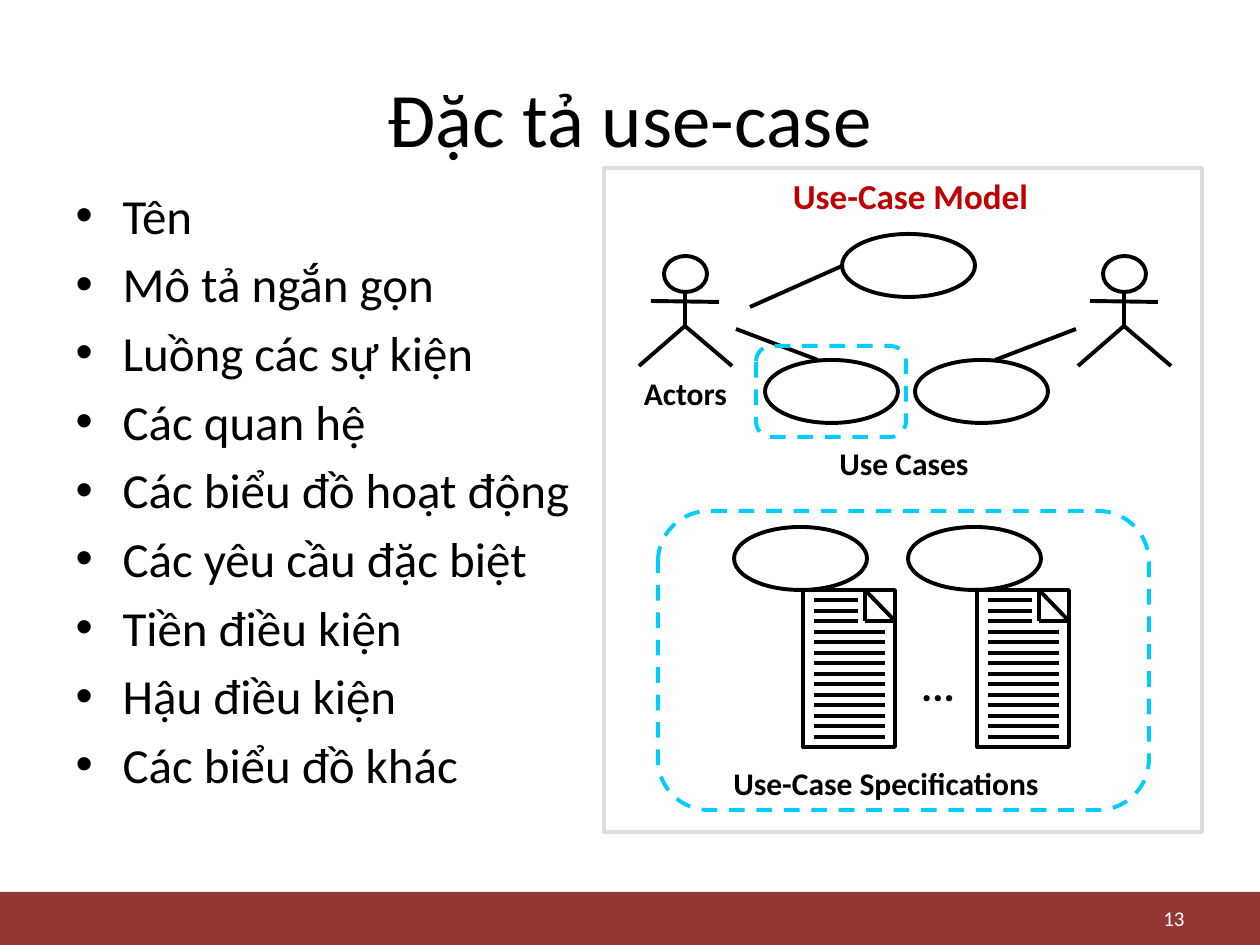
from lxml import etree
from pptx import Presentation
from pptx.dml.color import RGBColor
from pptx.enum.dml import MSO_LINE
from pptx.enum.shapes import MSO_CONNECTOR, MSO_SHAPE
from pptx.enum.text import MSO_ANCHOR, MSO_AUTO_SIZE, PP_ALIGN
from pptx.oxml.ns import qn
from pptx.util import Emu, Pt

RECT, OVAL, ROUNDED = MSO_SHAPE.RECTANGLE, MSO_SHAPE.OVAL, MSO_SHAPE.ROUNDED_RECTANGLE
STRAIGHT, DASH = MSO_CONNECTOR.STRAIGHT, MSO_LINE.DASH
LEFT, CENTER, RIGHT = PP_ALIGN.LEFT, PP_ALIGN.CENTER, PP_ALIGN.RIGHT
TOP, MIDDLE = MSO_ANCHOR.TOP, MSO_ANCHOR.MIDDLE

FONT = "Calibri"
BLACK, WHITE, RED = "000000", "FFFFFF", "C00000"
MAROON, GREY, CYAN = "953735", "DDDDDD", "00CCFF"
USE_CASE_SIZE = (133, 63)

CONTENTS = [
    "Tên", "Mô tả ngắn gọn", "Luồng các sự kiện", "Các quan hệ",
    "Các biểu đồ hoạt động", "Các yêu cầu đặc biệt", "Tiền điều kiện",
    "Hậu điều kiện", "Các biểu đồ khác",
]


def px(n):
    """Pixels at 126 to the inch, in EMU."""
    return Emu(round(n * 914400 / 126))


def color(hex_value):
    return RGBColor.from_string(hex_value)


def place(shape, left, top, width, height):
    shape.left, shape.top = px(left), px(top)
    shape.width, shape.height = px(width), px(height)


def write(paragraph, words, size, text_color=BLACK, bold=False, align=LEFT):
    paragraph.alignment = align
    run = paragraph.add_run()
    run.text = words
    font = run.font
    font.name, font.size, font.bold = FONT, Pt(size), bold
    font.color.rgb = color(text_color)


def stroke(shape, line_color=BLACK):
    shape.line.color.rgb = color(line_color)
    shape.line.width = Pt(2.25)


def add_outline(shapes, kind, box, line_color=BLACK):
    outline = shapes.add_shape(kind, *map(px, box))
    outline.shadow.inherit = False
    outline.fill.background()
    stroke(outline, line_color)
    return outline


def add_line(shapes, x1, y1, x2, y2):
    line = shapes.add_connector(STRAIGHT, px(x1), px(y1), px(x2), px(y2))
    stroke(line)
    etree.SubElement(line._element.spPr, qn("a:effectLst"))


def add_label(shapes, words, box, size, text_color=BLACK, bold=True,
              align=CENTER, anchor=TOP, wrap=True):
    label = shapes.add_textbox(*map(px, box))
    frame = label.text_frame
    frame.word_wrap = wrap
    frame.vertical_anchor = anchor
    write(frame.paragraphs[0], words, size, text_color, bold, align)


def add_use_case(shapes, left, top):
    add_outline(shapes, OVAL, (left, top, *USE_CASE_SIZE))


def add_dashed_frame(shapes, box):
    frame = add_outline(shapes, ROUNDED, box, CYAN)
    frame.adjustments[0] = 0.17
    frame.line.dash_style = DASH


def add_actor(slide, left):
    """Stick figure whose left foot is at the given x."""
    figure = slide.shapes.add_group_shape().shapes
    spine = left + 46
    add_outline(figure, OVAL, (left + 25, 256, 43, 36))
    add_line(figure, spine, 292, spine, 326)
    add_line(figure, left + 12, 301, left + 80, 302)
    legs = figure.build_freeform(px(left), px(366))
    legs.add_line_segments([(px(spine), px(326)), (px(left + 93), px(366))], close=False)
    legs_shape = legs.convert_to_shape()
    legs_shape.shadow.inherit = False
    legs_shape.fill.background()
    stroke(legs_shape)


def add_specification(slide, left):
    """Use case with its written page below."""
    parts = slide.shapes.add_group_shape().shapes
    page_left, page_top = left + 69, 590
    page_right, fold_left, fold_bottom = page_left + 92, page_left + 62, page_top + 31
    add_use_case(parts, left, 527)
    add_outline(parts, RECT, (page_left, page_top, 92, 157))

    # Folded corner
    add_line(parts, fold_left, page_top, page_right, fold_bottom)
    add_line(parts, fold_left, page_top, fold_left, fold_bottom)
    add_line(parts, page_right, fold_bottom, fold_left, fold_bottom)

    # Lines of writing, the first three stopping short of the fold
    for row in range(14):
        y = page_top + 10 + round(row * 10.54)
        length = 44 if row < 3 else 71
        add_line(parts, page_left + 11, y, page_left + 11 + length, y)


def fill_title(slide):
    title = slide.shapes.title
    place(title, 63, 38, 1134, 158)
    title.text_frame.vertical_anchor = MIDDLE
    write(title.text_frame.paragraphs[0], "Đặc tả use-case", 44, align=CENTER)


def fill_contents(slide):
    body = slide.placeholders[1]
    place(body, 63, 179, 528, 695)
    frame = body.text_frame
    frame.auto_size = MSO_AUTO_SIZE.NONE
    frame.vertical_anchor = TOP
    for index, item in enumerate(CONTENTS):
        paragraph = frame.paragraphs[0] if index == 0 else frame.add_paragraph()
        properties = paragraph._p.get_or_add_pPr()
        properties.set("marL", str(px(47)))
        properties.set("indent", str(-px(47)))
        bullet_font = etree.SubElement(properties, qn("a:buFont"))
        bullet_font.set("typeface", "Arial")
        etree.SubElement(properties, qn("a:buChar")).set("char", "•")
        paragraph.space_before = Pt(5.6 if index else 0)
        write(paragraph, item, 28)


def add_footer(slide):
    band = slide.shapes.add_shape(RECT, *map(px, (0, 892, 1260, 53)))
    band.shadow.inherit = False
    band.fill.solid()
    band.fill.fore_color.rgb = color(MAROON)
    band.line.fill.background()
    add_label(slide.shapes, "13", (903, 901, 294, 34), 12, WHITE,
              bold=False, align=RIGHT, anchor=MIDDLE)


def add_model(slide):
    shapes = slide.shapes
    add_outline(shapes, RECT, (604, 168, 598, 664), GREY)
    add_label(shapes, "Use-Case Model", (725, 168, 371, 54), 20, RED)

    # Actors and use cases
    for left in (639, 1078):
        add_actor(slide, left)
    for left, top in ((842, 234), (765, 360), (915, 360)):
        add_use_case(shapes, left, top)
    for ends in ((750, 307, 842, 266), (736, 329, 818, 360), (1076, 329, 995, 360)):
        add_line(shapes, *ends)
    add_label(shapes, "Actors", (621, 368, 129, 50), 18)
    add_label(shapes, "Use Cases", (807, 438, 194, 50), 18)

    # Specifications
    for left in (734, 908):
        add_specification(slide, left)
    add_label(shapes, "...", (908, 653, 60, 63), 24)
    add_label(shapes, "Use-Case Specifications", (721, 758, 391, 50), 18,
              align=LEFT, wrap=False)

    # Dashed frames marking the specified use case and its details
    add_dashed_frame(shapes, (658, 511, 491, 299))
    add_dashed_frame(shapes, (756, 346, 150, 91))


def main():
    deck = Presentation()
    deck.slide_width, deck.slide_height = px(1260), px(945)
    slide = deck.slides.add_slide(deck.slide_layouts[1])
    fill_title(slide)
    fill_contents(slide)
    add_footer(slide)
    add_model(slide)
    deck.save("out.pptx")


if __name__ == "__main__":
    main()
